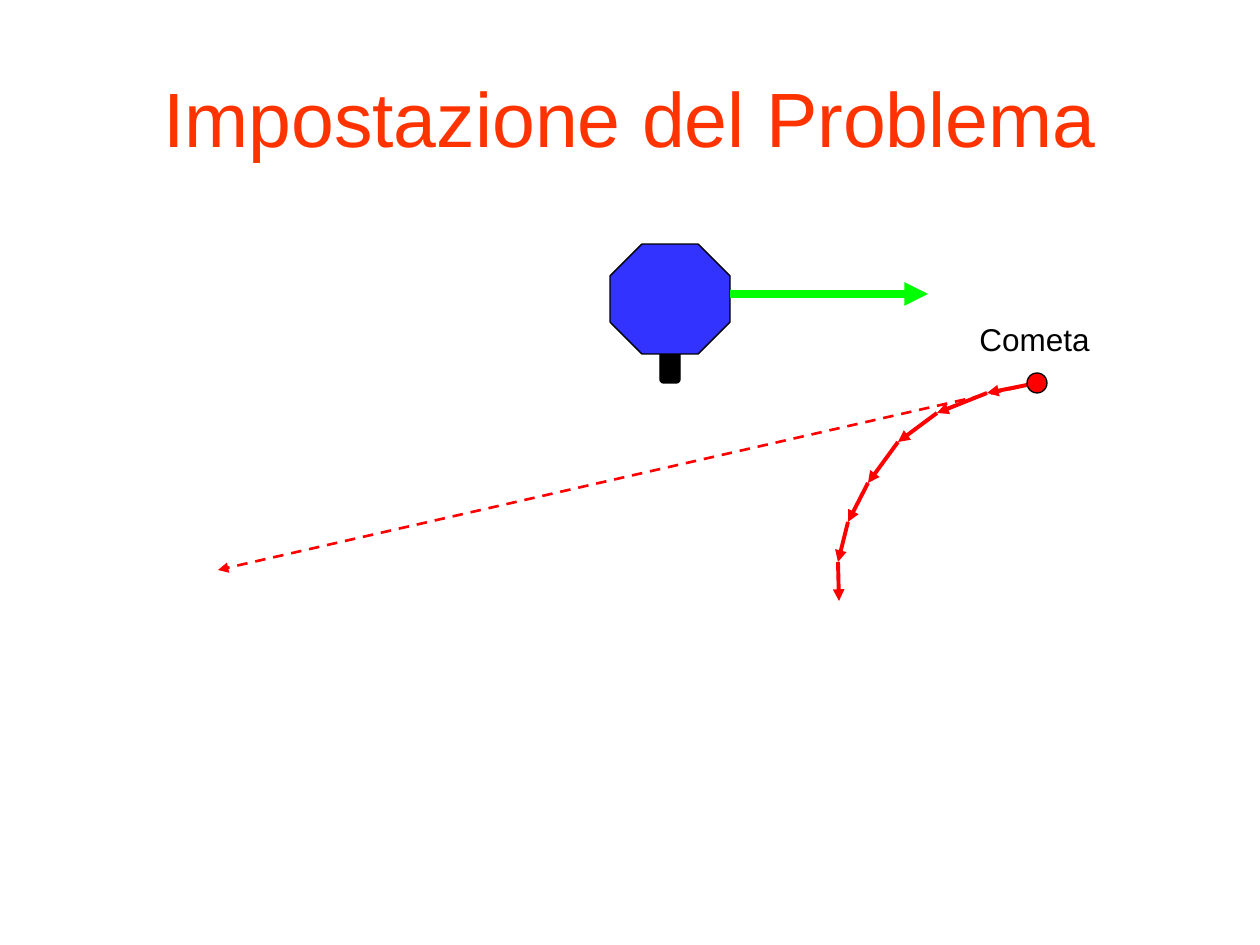
from itertools import pairwise

from lxml.etree import SubElement
from pptx import Presentation
from pptx.dml.color import RGBColor
from pptx.enum.dml import MSO_LINE_DASH_STYLE as DASH
from pptx.enum.shapes import MSO_CONNECTOR as CONNECTOR, MSO_SHAPE as SHAPE
from pptx.enum.text import MSO_ANCHOR as ANCHOR, MSO_AUTO_SIZE as AUTO_SIZE, PP_ALIGN as ALIGN
from pptx.oxml.ns import qn
from pptx.util import Emu, Inches, Pt

PX_PER_INCH = 126
FONT = "Arial"
BLACK = RGBColor(0x00, 0x00, 0x00)
BLUE = RGBColor(0x33, 0x33, 0xFF)
GREEN = RGBColor(0x00, 0xFF, 0x00)
RED = RGBColor(0xFF, 0x00, 0x00)
ORANGE = RGBColor(0xFF, 0x33, 0x00)

COMET = (1037, 383)
ORBIT = [COMET, (987, 393), (937, 413), (898, 442), (868, 483),
         (848, 522), (838, 562), (839, 601)]
STRAIGHT_PATH_END = (218, 570)


def px(*lengths):
    return [Emu(round(length * Inches(1) / PX_PER_INCH)) for length in lengths]


def format_text(text_frame, text, size, color, alignment):
    text_frame.text = text
    paragraph = text_frame.paragraphs[0]
    paragraph.alignment = alignment
    paragraph.font.name = FONT
    paragraph.font.size = Pt(size)
    paragraph.font.color.rgb = color


def set_title(slide, text, box):
    title = slide.shapes.title
    title.left, title.top, title.width, title.height = px(*box)
    title.text_frame.vertical_anchor = ANCHOR.MIDDLE
    format_text(title.text_frame, text, 44, ORANGE, ALIGN.CENTER)


def add_label(slide, text, box):
    text_frame = slide.shapes.add_textbox(*px(*box)).text_frame
    text_frame.word_wrap = False
    text_frame.auto_size = AUTO_SIZE.SHAPE_TO_FIT_TEXT
    format_text(text_frame, text, 18, BLACK, ALIGN.LEFT)


def add_body(slide, kind, box, color, adjustment=None):
    shape = slide.shapes.add_shape(kind, *px(*box))
    shape.shadow.inherit = False
    shape.fill.solid()
    shape.fill.fore_color.rgb = color
    shape.line.color.rgb = BLACK
    shape.line.width = Pt(0.75)
    if adjustment is not None:
        shape.adjustments[0] = adjustment


def add_arrow(slide, start, end, color, width, dash=None):
    connector = slide.shapes.add_connector(CONNECTOR.STRAIGHT, *px(*start, *end))
    connector.line.color.rgb = color
    connector.line.width = Pt(width)
    if dash is not None:
        connector.line.dash_style = dash
    properties = connector._element.spPr
    SubElement(properties.find(qn("a:ln")), qn("a:tailEnd"), type="triangle")
    SubElement(properties, qn("a:effectLst"))


def main():
    presentation = Presentation()
    presentation.slide_width, presentation.slide_height = px(1260, 945)
    slide = presentation.slides.add_slide(presentation.slide_layouts[5])

    set_title(slide, "Impostazione del Problema", (63, 38, 1134, 158))

    add_body(slide, SHAPE.ROUNDED_RECTANGLE, (660, 334, 20, 49), BLACK, 0.17)
    add_body(slide, SHAPE.OCTAGON, (610, 244, 120, 110), BLUE, 0.29)
    add_arrow(slide, (730, 294), (928, 294), GREEN, 4.5)

    add_arrow(slide, COMET, STRAIGHT_PATH_END, RED, 1.5, DASH.DASH)
    for start, end in pairwise(ORBIT):
        add_arrow(slide, start, end, RED, 2.25)

    add_label(slide, "Cometa", (967, 314, 138, 50))
    add_body(slide, SHAPE.OVAL, (1027, 373, 20, 20), RED)

    presentation.save("out.pptx")


if __name__ == "__main__":
    main()
